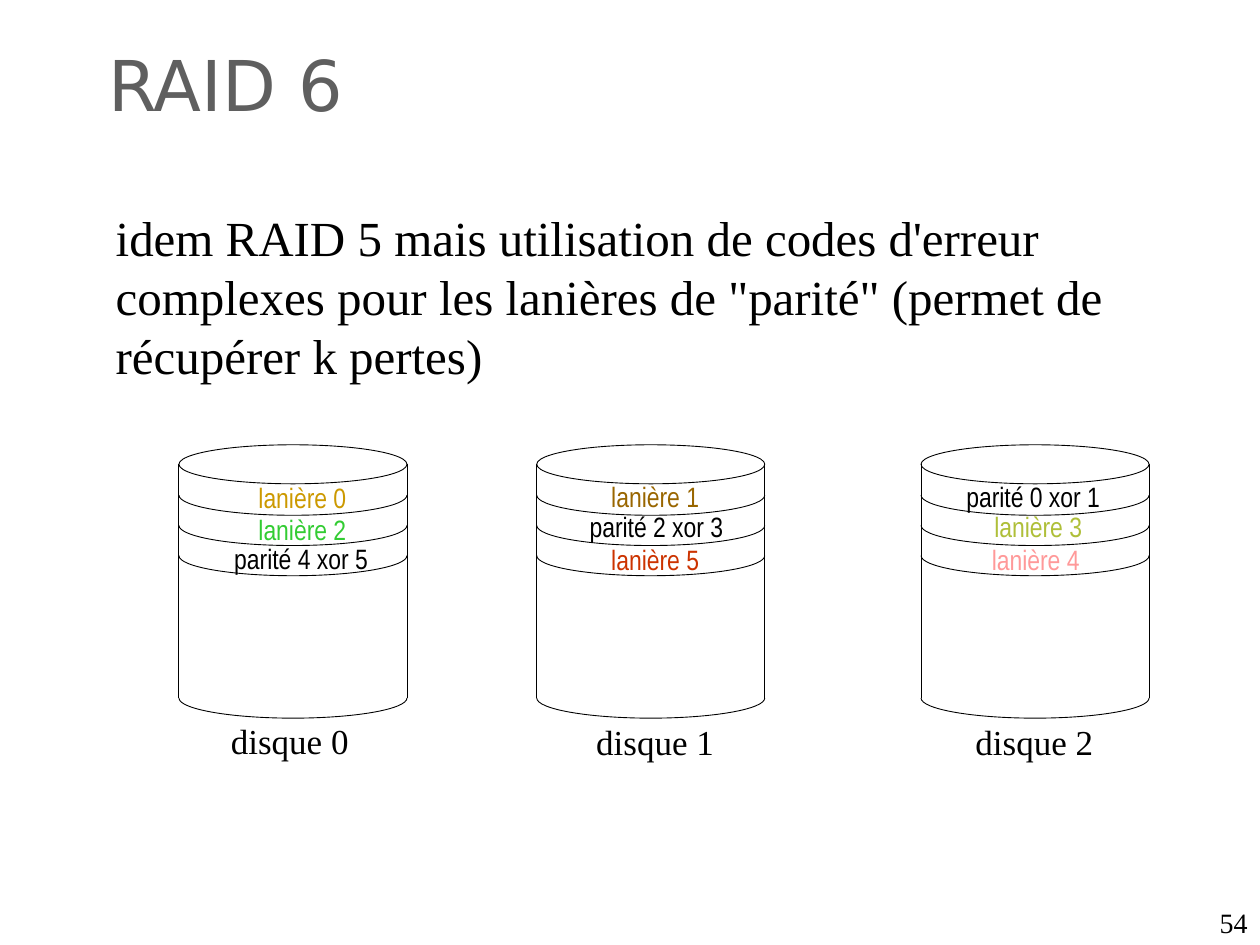
from lxml.etree import SubElement
from pptx import Presentation
from pptx.dml.color import RGBColor
from pptx.enum.shapes import MSO_CONNECTOR, MSO_SHAPE
from pptx.enum.text import MSO_ANCHOR, PP_ALIGN
from pptx.oxml.ns import qn
from pptx.util import Inches, Pt

SERIF = "Times New Roman"
WIDE, RIM = 1.81, 0.31
TOP, BASE = 3.53, 5.54
BEND = 0.55
DISKS = [
    ("disque 0", 1.42, 1.37, 5.66, [
        ("lanière 0", "CC9900", 1.72, 3.8),
        ("lanière 2", "33CC33", 1.72, 4.05),
        ("parité 4 xor 5", "000000", 1.71, 4.28)]),
    ("disque 1", 4.26, 4.27, 5.67, [
        ("lanière 1", "996600", 4.52, 3.79),
        ("parité 2 xor 3", "000000", 4.53, 4.03),
        ("lanière 5", "CC3300", 4.52, 4.29)]),
    ("disque 2", 7.31, 7.28, 5.67, [
        ("parité 0 xor 1", "000000", 7.52, 3.79),
        ("lanière 3", "AFBF39", 7.56, 4.03),
        ("lanière 4", "FF9999", 7.54, 4.29)]),
]


def color(code):
    """Turn a hex string into a colour."""
    return RGBColor.from_string(code)


class Board:
    """Hold the style and the current slide."""

    def __init__(self, slide, ink="000000", width=0.5):
        """Keep the slide, the ink colour and the line width."""
        self.shapes = slide.shapes
        self.ink = ink
        self.width = width

    def text(self, words, left, top, wide, high, size, font=SERIF, ink=None,
             align=PP_ALIGN.LEFT, anchor=MSO_ANCHOR.TOP, wrap=True):
        """Add a text box with one run."""
        box = self.shapes.add_textbox(Inches(left), Inches(top), Inches(wide), Inches(high))
        frame = box.text_frame
        frame.word_wrap = wrap
        frame.vertical_anchor = anchor
        para = frame.paragraphs[0]
        para.alignment = align
        run = para.add_run()
        run.text = words
        run.font.size = Pt(size)
        run.font.name = font
        run.font.color.rgb = color(ink or self.ink)

    def stroke(self, line):
        """Give a line the common colour and width."""
        line.color.rgb = color(self.ink)
        line.width = Pt(self.width)

    def hollow(self, shape):
        """Leave a shape with its outline only."""
        shape.shadow.inherit = False
        shape.fill.background()
        self.stroke(shape.line)

    def oval(self, left, top, wide, high):
        """Add an unfilled ellipse."""
        self.hollow(self.shapes.add_shape(
            MSO_SHAPE.OVAL, Inches(left), Inches(top), Inches(wide), Inches(high)))

    def arc(self, left, top, wide, high):
        """Add the lower half of an ellipse as two open curves."""
        mid, half = left + wide / 2, wide / 2
        spots = [(-1, 0), (-1, BEND), (-BEND, 1), (0, 1), (BEND, 1), (1, BEND), (1, 0)]
        spots = [(Inches(mid + half * x), Inches(top + high * y)) for x, y in spots]
        pen = self.shapes.build_freeform(*spots[0])
        pen.add_line_segments(spots[1:], close=False)
        shape = pen.convert_to_shape()
        steps = list(shape._element.iter(qn("a:lnTo")))
        route = steps[0].getparent()
        for start in (0, 3):
            curve = SubElement(route, qn("a:cubicBezTo"))
            for step in steps[start:start + 3]:
                curve.append(step[0])
                route.remove(step)
        self.hollow(shape)

    def side(self, left, low, high):
        """Add an upright line."""
        link = self.shapes.add_connector(
            MSO_CONNECTOR.STRAIGHT, Inches(left), Inches(low), Inches(left), Inches(high))
        self.stroke(link.line)
        SubElement(link._element.spPr, qn("a:effectLst"))

    def disk(self, left):
        """Add a cylinder cut by three bands."""
        self.oval(left, TOP, WIDE, RIM)
        for edge in (left, left + WIDE):
            self.side(edge, BASE, TOP + RIM / 2)
        for level in (3.93, 4.17, 4.41, BASE):
            self.arc(left, level, WIDE, 0.16)


def main():
    """Build and save the slide."""
    deck = Presentation()
    deck.slide_width, deck.slide_height = Inches(10), Inches(7.5)
    board = Board(deck.slides.add_slide(deck.slide_layouts[6]))
    board.text("RAID 6", 0.76, 0.28, 2.87, 0.87, 40, "DejaVu Sans", "5F5F5F")
    board.text("idem RAID 5 mais utilisation de codes d'erreur complexes pour les "
               "lanières de \"parité\" (permet de récupérer k pertes)",
               0.82, 1.6, 8.5, 1.16, 28)
    for name, left, foot, low, bands in DISKS:
        board.disk(left)
        board.text(name, foot, low, 1.86, 0.44, 20, align=PP_ALIGN.CENTER)
        for words, ink, start, top in bands:
            board.text(words, start, top, 1.36, 0.3, 16, "Arial Narrow", ink,
                       PP_ALIGN.CENTER, MSO_ANCHOR.MIDDLE, wrap=False)
    board.text("54", 7.67, 7.14, 2.33, 0.36, 16,
               align=PP_ALIGN.RIGHT, anchor=MSO_ANCHOR.BOTTOM)
    deck.save("out.pptx")


if __name__ == "__main__":
    main()
